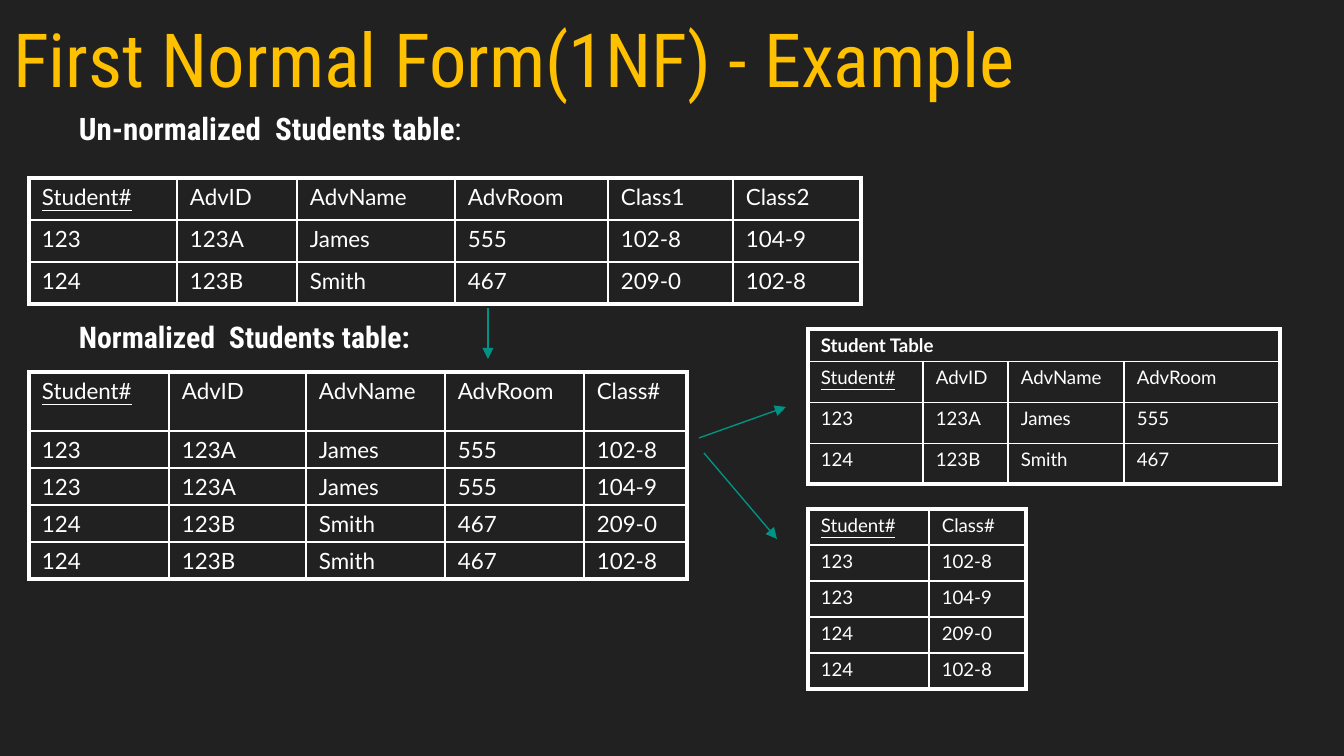
from lxml.etree import SubElement
from pptx import Presentation
from pptx.dml.color import RGBColor
from pptx.enum.shapes import MSO_CONNECTOR
from pptx.enum.text import MSO_ANCHOR
from pptx.oxml import parse_xml
from pptx.oxml.ns import nsdecls, qn
from pptx.util import Pt

SCALE = 914400 / 134.4  # EMU in one px
COLORS = {"bg": "212121", "title": "FFC000", "text": "FFFFFF", "arrow": "009385"}
HEAD = "Roboto Condensed"
BODY = "Lato"
THIN, THICK = 1, 2.25

# left, top, font size, column widths, row heights, rows of text
TABLES = [
    (29, 178, 12, [148, 120, 158, 153, 125, 128], [42] * 3, [
        ["Student#", "AdvID", "AdvName", "AdvRoom", "Class1", "Class2"],
        ["123", "123A", "James", "555", "102-8", "104-9"],
        ["124", "123B", "Smith", "467", "209-0", "102-8"]]),
    (29, 372, 12, [140, 137, 139, 139, 103], [59] + [37] * 4, [
        ["Student#", "AdvID", "AdvName", "AdvRoom", "Class#"],
        ["123", "123A", "James", "555", "102-8"],
        ["123", "123A", "James", "555", "104-9"],
        ["124", "123B", "Smith", "467", "209-0"],
        ["124", "123B", "Smith", "467", "102-8"]]),
    (808, 329, 10, [115, 85, 116, 156], [32] + [41] * 3, [
        ["Student Table"],
        ["Student#", "AdvID", "AdvName", "AdvRoom"],
        ["123", "123A", "James", "555"],
        ["124", "123B", "Smith", "467"]]),
    (808, 509, 10, [121, 97], [36] * 5, [
        ["Student#", "Class#"],
        ["123", "102-8"],
        ["123", "104-9"],
        ["124", "209-0"],
        ["124", "102-8"]]),
]
ARROWS = [(488, 308, 488, 359), (699, 438, 786, 407), (704, 453, 777, 539)]


def px(n):
    return round(n * SCALE)


def add_run(p, text, color="text", **fmt):
    r = p.add_run()
    r.text = text
    r.font.color.rgb = RGBColor.from_string(COLORS[color])
    for name, value in fmt.items():
        setattr(r.font, name, value)


def add_text(s, box, runs, inset=(13, 13), indent=0, wrap=True, **para):
    tf = s.shapes.add_textbox(*map(px, box)).text_frame
    frame = {"word_wrap": wrap, "vertical_anchor": MSO_ANCHOR.TOP,
             "margin_left": px(inset[0]), "margin_right": px(inset[0]),
             "margin_top": px(inset[1]), "margin_bottom": px(inset[1])}
    for name, value in frame.items():
        setattr(tf, name, value)
    p = tf.paragraphs[0]
    for name, value in para.items():
        setattr(p, name, value)
    if indent:
        pPr = p._p.get_or_add_pPr()
        pPr.set("marL", str(px(indent)))
        pPr.set("indent", "0")
    for text, fmt in runs:
        add_run(p, text, name=HEAD, **fmt)


def set_borders(cell, widths):
    tcPr = cell._tc.get_or_add_tcPr()
    for i, (side, width) in enumerate(widths.items()):
        tcPr.insert(i, parse_xml(
            f'<a:ln{side} {nsdecls("a")} w="{Pt(width)}"><a:solidFill>'
            f'<a:srgbClr val="{COLORS["text"]}"/></a:solidFill></a:ln{side}>'))


def add_grid(s, left, top, size, cols, heights, rows):
    frame = s.shapes.add_table(len(rows), len(cols), px(left), px(top),
                               px(sum(cols)), px(sum(heights)))
    table = frame.table
    table.first_row = table.horz_banding = False
    for column, width in zip(table.columns, cols):
        column.width = px(width)
    for row, height in zip(table.rows, heights):
        row.height = px(height)

    for i, texts in enumerate(rows):
        # A single text is a caption across all columns
        caption = len(texts) == 1
        if caption:
            table.cell(i, 0).merge(table.cell(i, len(cols) - 1))
        for j, text in enumerate(texts):
            cell = table.cell(i, j)
            cell.margin_left = cell.margin_right = px(13)
            cell.margin_top = cell.margin_bottom = px(5)
            cell.fill.background()
            outer = {"L": j == 0, "R": j == len(texts) - 1,
                     "T": i == 0, "B": i == len(rows) - 1}
            set_borders(cell, {side: THICK if edge else THIN
                               for side, edge in outer.items()})
            add_run(cell.text_frame.paragraphs[0], text, name=BODY, size=Pt(size),
                    bold=caption, underline=text == "Student#")


def add_arrow(s, *ends):
    c = s.shapes.add_connector(MSO_CONNECTOR.STRAIGHT, *map(px, ends))
    c.line.color.rgb = RGBColor.from_string(COLORS["arrow"])
    c.line.width = Pt(0.75)
    SubElement(c.line._get_or_add_ln(), qn("a:tailEnd"), type="triangle")
    SubElement(c._element.spPr, qn("a:effectLst"))


def main():
    prs = Presentation()
    prs.slide_width, prs.slide_height = px(1344), px(756)
    s = prs.slides.add_slide(prs.slide_layouts[6])
    s.background.fill.solid()
    s.background.fill.fore_color.rgb = RGBColor.from_string(COLORS["bg"])

    # Title and table headings
    add_text(s, (0, 0, 1042, 86), [("First Normal Form(1NF) - Example",
             {"size": Pt(40), "color": "title"})], wrap=False)
    add_text(s, (50, 102, 523, 59),
             [("Un-normalized  Students table", {"size": Pt(16.6), "bold": True}),
              (":", {"size": Pt(16.6)})],
             inset=(13, 7), indent=16, space_before=Pt(4))
    add_text(s, (50, 308, 487, 51),
             [("Normalized  Students table:", {"size": Pt(16), "bold": True})],
             indent=16, line_spacing=0.95)

    # Tables, then the arrows between them
    for table in TABLES:
        add_grid(s, *table)
    for ends in ARROWS:
        add_arrow(s, *ends)

    prs.save("out.pptx")


if __name__ == "__main__":
    main()
